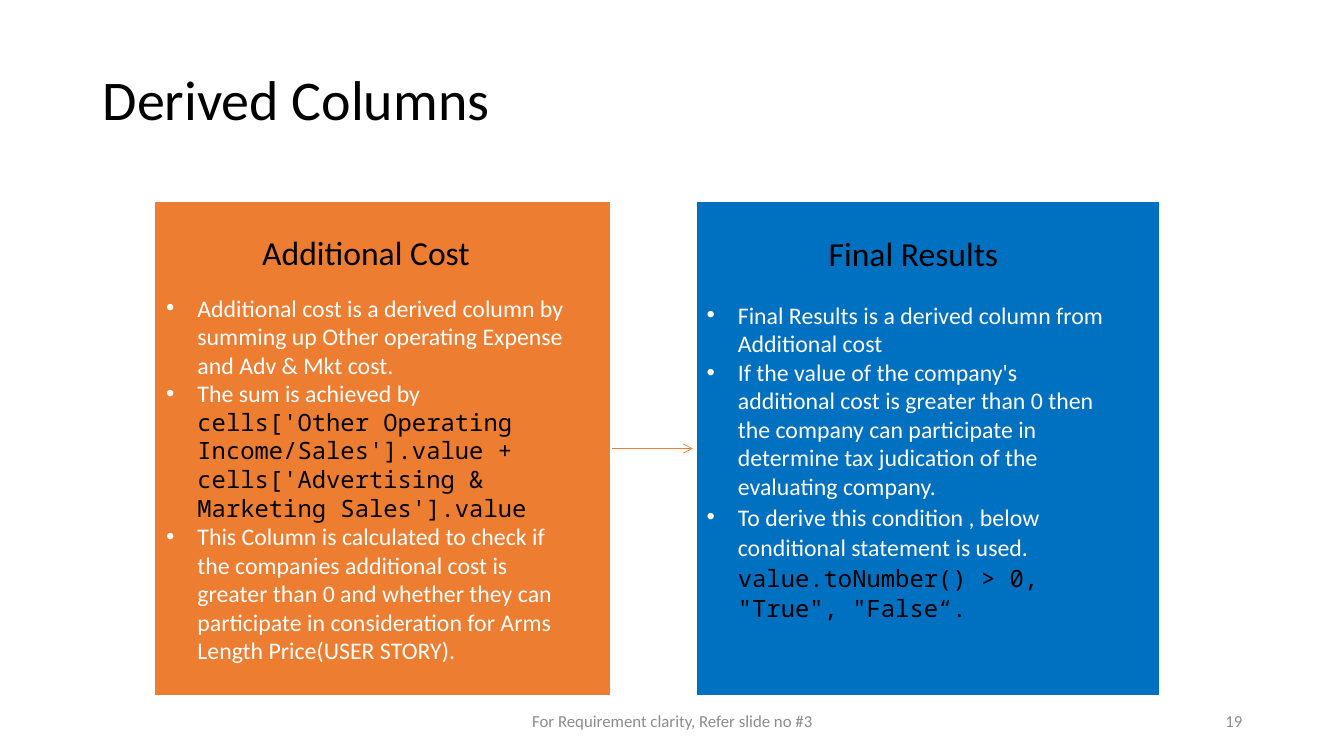
from dataclasses import dataclass

from lxml.etree import SubElement
from pptx import Presentation
from pptx.dml.color import RGBColor
from pptx.enum.shapes import MSO_CONNECTOR, MSO_SHAPE
from pptx.enum.text import MSO_ANCHOR, PP_ALIGN
from pptx.oxml.ns import qn
from pptx.util import Inches, Pt

COLOURS = {
    "orange": "ED7D31",
    "blue": "0070C0",
    "white": "FFFFFF",
    "black": "000000",
    "grey": "8C8C8C",
}
BODY_FONT = "Calibri"
CODE_FONT = "Noto Sans Mono"
BULLET_INDENT = Inches(0.31)


@dataclass(frozen=True)
class Bullet:
    text: str
    code: str = ""
    line_spacing: float | None = None
    space_after: float = 0


@dataclass(frozen=True)
class Panel:
    heading: str
    colour: str
    box: tuple[float, float, float, float]
    heading_box: tuple[float, float, float, float]
    bullets_box: tuple[float, float, float, float]
    bullets: tuple[Bullet, ...]


PANELS = (
    Panel(
        "Additional Cost", "orange",
        (1.53, 2, 4.53, 4.9), (1.92, 2.25, 3.42, 0.5), (1.55, 2.86, 4.14, 4.11),
        (
            Bullet("Additional cost is a derived column by summing up Other operating "
                   "Expense and Adv & Mkt cost."),
            Bullet("The sum is achieved by ",
                   "cells['Other Operating Income/Sales'].value + "
                   "cells['Advertising & Marketing Sales'].value"),
            Bullet("This Column is calculated to check if the companies additional cost is "
                   "greater than 0 and whether they can participate in consideration for "
                   "Arms Length Price(USER STORY)."),
        ),
    ),
    Panel(
        "Final Results", "blue",
        (6.91, 2, 4.59, 4.9), (7.35, 2.26, 3.42, 0.5), (6.91, 2.93, 4.29, 3.31),
        (
            Bullet("Final Results is a derived column from Additional cost"),
            Bullet("If the value of the company's additional cost is greater than 0 then "
                   "the company can participate in determine tax judication of the "
                   "evaluating company."),
            Bullet("To derive this condition , below conditional statement is used. ",
                   'value.toNumber() > 0, "True", "False“.', 1.07, 8),
        ),
    ),
)


def colour(name: str) -> RGBColor:
    return RGBColor.from_string(COLOURS[name])


def add_run(paragraph, text: str, *, size: float, color: str = "black", font: str = BODY_FONT):
    run = paragraph.add_run()
    run.text = text
    run.font.name = font
    run.font.size = Pt(size)
    run.font.color.rgb = colour(color)


def add_frame(slide, box: tuple[float, float, float, float], anchor=MSO_ANCHOR.TOP):
    frame = slide.shapes.add_textbox(*map(Inches, box)).text_frame
    frame.word_wrap = True
    frame.vertical_anchor = anchor
    return frame


def add_text(slide, text: str, box: tuple[float, float, float, float], *, size: float,
             color: str = "black", align=PP_ALIGN.LEFT, anchor=MSO_ANCHOR.TOP):
    paragraph = add_frame(slide, box, anchor).paragraphs[0]
    paragraph.alignment = align
    add_run(paragraph, text, size=size, color=color)


def add_bullets(slide, panel: Panel):
    frame = add_frame(slide, panel.bullets_box)
    for index, bullet in enumerate(panel.bullets):
        paragraph = frame.add_paragraph() if index else frame.paragraphs[0]
        paragraph.line_spacing = bullet.line_spacing
        paragraph.space_after = Pt(bullet.space_after)
        properties = paragraph._p.get_or_add_pPr()
        properties.set("marL", str(BULLET_INDENT))
        properties.set("indent", str(-BULLET_INDENT))
        SubElement(properties, qn("a:buFont"), typeface="Arial")
        SubElement(properties, qn("a:buChar"), char="•")
        add_run(paragraph, bullet.text, size=17, color="white")
        if bullet.code:
            add_run(paragraph, bullet.code, size=17, font=CODE_FONT)


def add_panel(slide, panel: Panel):
    shape = slide.shapes.add_shape(MSO_SHAPE.RECTANGLE, *map(Inches, panel.box))
    shape.shadow.inherit = False
    shape.fill.solid()
    shape.fill.fore_color.rgb = colour(panel.colour)
    shape.line.color.rgb = colour("white")
    shape.line.width = Pt(1)
    add_bullets(slide, panel)
    add_text(slide, panel.heading, panel.heading_box, size=24, align=PP_ALIGN.CENTER)


def add_arrow(slide, start: tuple[float, float], end: tuple[float, float]):
    arrow = slide.shapes.add_connector(MSO_CONNECTOR.STRAIGHT, *map(Inches, start + end))
    arrow.line.color.rgb = colour("orange")
    arrow.line.width = Pt(0.5)
    SubElement(arrow.line._get_or_add_ln(), qn("a:tailEnd"), type="arrow")
    SubElement(arrow._element.spPr, qn("a:effectLst"))


presentation = Presentation()
presentation.slide_width = Inches(13.33)
presentation.slide_height = Inches(7.5)
slide = presentation.slides.add_slide(presentation.slide_layouts[6])

add_arrow(slide, (6.05, 4.45), (6.87, 4.45))
add_text(slide, "Derived Columns", (0.92, 0.59, 7.08, 0.77), size=40)
for panel in PANELS:
    add_panel(slide, panel)
add_text(slide, "For Requirement clarity, Refer slide no #3", (4.42, 6.95, 4.5, 0.4),
         size=12, color="grey", align=PP_ALIGN.CENTER, anchor=MSO_ANCHOR.MIDDLE)
add_text(slide, "19", (9.42, 6.95, 3, 0.4),
         size=12, color="grey", align=PP_ALIGN.RIGHT, anchor=MSO_ANCHOR.MIDDLE)

presentation.save("out.pptx")
